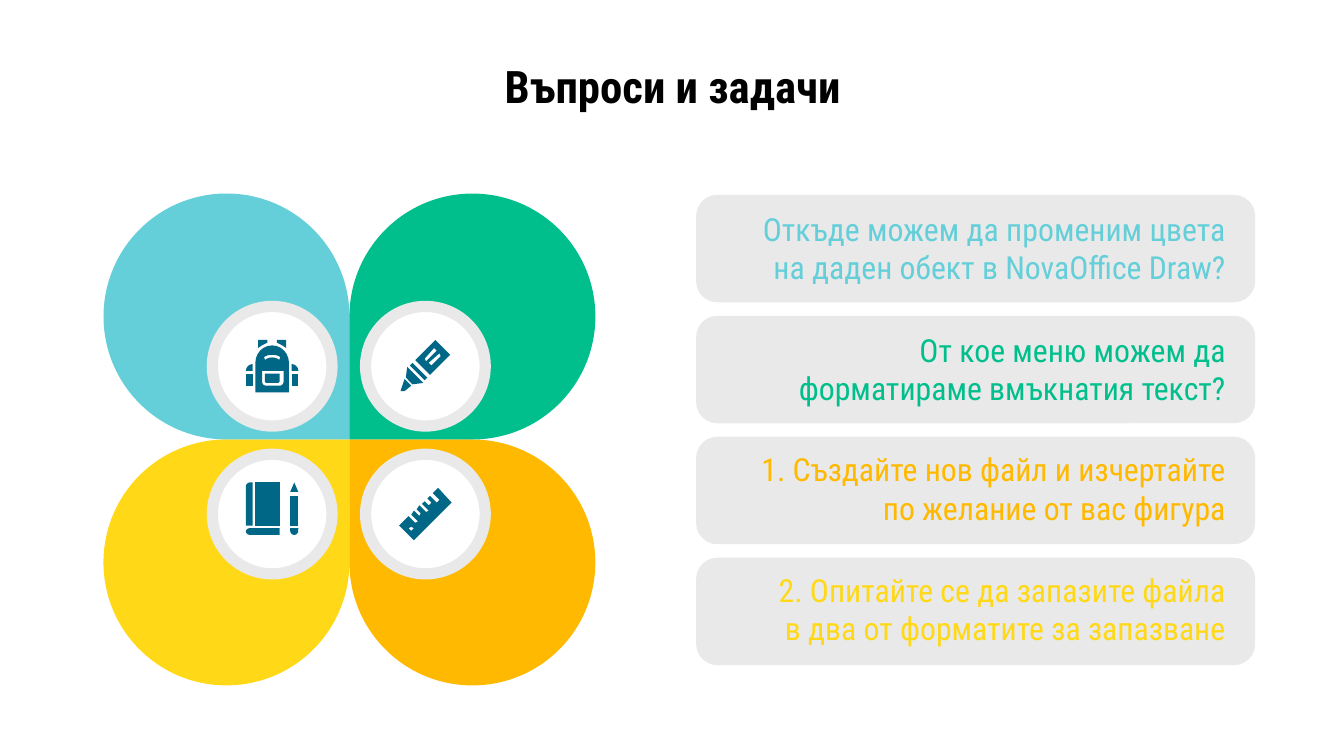
from dataclasses import dataclass
from math import cos, radians, sin

from pptx import Presentation
from pptx.dml.color import RGBColor
from pptx.enum.shapes import MSO_SHAPE as Preset
from pptx.enum.text import PP_ALIGN as Align
from pptx.util import Inches, Pt

Point = tuple[float, float]
Contour = list[Point]
Part = list[Contour]  # first contour is the outline, the rest are holes


@dataclass(frozen=True)
class Theme:
    font: str = "Roboto Condensed"
    title_size: int = 24
    body_size: int = 17
    ring_width: int = 6
    black: str = "000000"
    white: str = "FFFFFF"
    grey: str = "E9E9E9"
    icon: str = "016786"
    aqua: str = "64CFD9"
    green: str = "01BF8D"
    orange: str = "FFB900"
    yellow: str = "FFD917"


@dataclass(frozen=True)
class Question:
    text: str
    color: str
    top: float
    width: float


@dataclass(frozen=True)
class Petal:
    column: int
    row: int
    rotation: int
    color: str


THEME = Theme()

QUESTIONS = [
    Question("Откъде можем да променим цвета на даден обект в NovaOffice Draw?", THEME.aqua, 1.46, 3.81),
    Question("От кое меню можем да форматираме вмъкнатия текст?", THEME.green, 2.36, 3.81),
    Question("1. Създайте нов файл и изчертайте по желание от вас фигура", THEME.orange, 3.25, 3.73),
    Question("2. Опитайте се да запазите файла в два от форматите за запазване", THEME.yellow, 4.15, 3.66),
]
CARD_LEFT, CARD_TOP, CARD_WIDTH, CARD_HEIGHT, CARD_PITCH = 5.18, 1.45, 4.16, 0.8, 0.9
TEXT_RIGHT = 9.22

PETALS = [
    Petal(0, 1, 0, THEME.yellow),
    Petal(0, 0, 90, THEME.aqua),
    Petal(1, 1, 270, THEME.orange),
    Petal(1, 0, 180, THEME.green),
]
FLOWER_LEFT, FLOWER_TOP, PETAL_SIZE = 0.77, 1.44, 1.83
BADGE_LEFT, BADGE_TOP, BADGE_SIZE = 1.58, 2.28, 0.89
BADGE_PITCH_X, BADGE_PITCH_Y = 1.14, 1.1


# Outline helpers
def rect(left: float, top: float, right: float, bottom: float) -> Contour:
    return [(left, top), (right, top), (right, bottom), (left, bottom)]


def arc(cx: float, cy: float, rx: float, ry: float, start: int, end: int) -> Contour:
    steps = 12
    angles = [radians(start + (end - start) * i / steps) for i in range(steps + 1)]
    return [(cx + rx * cos(a), cy + ry * sin(a)) for a in angles]


def mirrored(contour: Contour, axis: float) -> Contour:
    return [(2 * axis - x, y) for x, y in contour]


# Icons
def backpack() -> list[Part]:
    axis = 2.025
    body = arc(axis, 2.7, 0.125, 0.13, 180, 360) + [(2.15, 2.92), (1.9, 2.92)]
    handle = arc(axis, 2.67, 0.065, 0.03, 200, 340) + arc(axis, 2.69, 0.055, 0.03, 340, 200)
    pocket_rim = ([(1.95, 2.76), (2.11, 2.76)]
                  + arc(2.08, 2.84, 0.03, 0.03, 0, 90) + arc(1.98, 2.84, 0.03, 0.03, 90, 180))
    pocket = [(1.97, 2.78), (2.08, 2.78), (2.08, 2.84), (2.07, 2.85), (1.98, 2.85), (1.97, 2.84)]
    left_side = [
        rect(1.83, 2.78, 1.88, 2.87),
        arc(1.88, 2.76, 0.05, 0.05, 180, 270) + [(1.88, 2.76)],
        [(1.92, 2.53), (1.92, 2.59), (1.95, 2.57), (1.99, 2.55), (1.99, 2.53)],
    ]
    sides = left_side + [mirrored(contour, axis) for contour in left_side]
    return [[body, handle, pocket_rim], [pocket]] + [[contour] for contour in sides]


def highlighter() -> list[Part]:
    barrel = [(3.24, 2.53), (3.09, 2.68), (3.2, 2.79), (3.35, 2.64)]
    stripes = [
        [(3.23, 2.59), (3.25, 2.61), (3.17, 2.69), (3.16, 2.67)],
        [(3.27, 2.63), (3.28, 2.65), (3.21, 2.72), (3.19, 2.7)],
    ]
    tip = [(3.01, 2.82), (2.98, 2.91), (3.01, 2.91), (3.06, 2.87)]
    neck = [(3.03, 2.73), (3.02, 2.81), (3.07, 2.86), (3.15, 2.85)]
    collar = [(3.07, 2.7), (3.05, 2.72), (3.16, 2.83), (3.18, 2.81)]
    return [[barrel, *stripes], [tip], [neck], [collar]]


def book_and_pencil() -> list[Part]:
    book = [
        arc(1.86, 3.955, 0.03, 0.025, 270, 90) + [(2.08, 3.98), (2.08, 3.93)],
        arc(1.86, 3.62, 0.03, 0.03, 180, 270) + [(1.88, 3.59), (1.88, 3.91), (1.83, 3.91)],
        rect(1.9, 3.59, 2.08, 3.91),
    ]
    pencil = [
        [(2.19, 3.59), (2.16, 3.66), (2.22, 3.66)],
        rect(2.16, 3.69, 2.22, 3.91),
        [(2.22, 3.93)] + arc(2.19, 3.95, 0.03, 0.03, 0, 180) + [(2.16, 3.93)],
    ]
    return [[contour] for contour in book + pencil]


def ruler() -> list[Part]:
    edge = [
        (3.26, 3.63), (3.22, 3.67), (3.27, 3.72), (3.25, 3.74), (3.2, 3.69), (3.18, 3.71),
        (3.21, 3.74), (3.19, 3.76), (3.16, 3.73), (3.14, 3.75), (3.19, 3.8), (3.17, 3.81),
        (3.12, 3.76), (3.1, 3.79), (3.13, 3.82), (3.12, 3.84), (3.08, 3.8), (3.06, 3.83),
        (3.11, 3.88), (3.09, 3.89), (3.04, 3.84), (2.97, 3.91), (3.08, 4.02), (3.36, 3.74),
    ]
    hole = [(3.06, 3.92), (3.08, 3.93), (3.06, 3.95), (3.04, 3.93)]
    return [[edge, hole]]


# Drawing functions
def paint(shape, fill: str, line: str | None = None) -> None:
    shape.shadow.inherit = False
    shape.fill.solid()
    shape.fill.fore_color.rgb = RGBColor.from_string(fill)
    if line is None:
        shape.line.fill.background()
    else:
        shape.line.color.rgb = RGBColor.from_string(line)
        shape.line.width = Pt(THEME.ring_width)


def add_preset(slide, preset, left: float, top: float, width: float, height: float,
               fill: str, line: str | None = None):
    shape = slide.shapes.add_shape(preset, Inches(left), Inches(top), Inches(width), Inches(height))
    paint(shape, fill, line)
    return shape


def add_text(slide, text: str, left: float, top: float, width: float, height: float,
             color: str, size: int, align, bold: bool = False) -> None:
    box = slide.shapes.add_textbox(Inches(left), Inches(top), Inches(width), Inches(height))
    frame = box.text_frame
    margins = dict.fromkeys(("margin_left", "margin_top", "margin_right", "margin_bottom"), Inches(0.1))
    for name, value in {"word_wrap": True, **margins}.items():
        setattr(frame, name, value)
    paragraph = frame.paragraphs[0]
    paragraph.alignment = align
    run = paragraph.add_run()
    run.text = text
    for name, value in {"name": THEME.font, "size": Pt(size), "bold": bold}.items():
        setattr(run.font, name, value)
    run.font.color.rgb = RGBColor.from_string(color)


def add_icon(slide, parts: list[Part]) -> None:
    for part in parts:
        outline, *holes = [[(Inches(x), Inches(y)) for x, y in contour] for contour in part]
        builder = slide.shapes.build_freeform(*outline[0])
        builder.add_line_segments(outline[1:], close=True)
        for hole in holes:
            builder.move_to(*hole[0])
            builder.add_line_segments(hole[1:], close=True)
        paint(builder.convert_to_shape(), THEME.icon)


def main() -> None:
    deck = Presentation()
    deck.slide_width, deck.slide_height = Inches(10), Inches(10 * 9 / 16)
    slide = deck.slides.add_slide(deck.slide_layouts[6])

    # Title
    add_text(slide, "Въпроси и задачи", 0.2, 0.34, 9.61, 0.63, THEME.black, THEME.title_size,
             Align.CENTER, bold=True)

    # Question cards
    for index, question in enumerate(QUESTIONS):
        card = add_preset(slide, Preset.ROUNDED_RECTANGLE, CARD_LEFT, CARD_TOP + index * CARD_PITCH,
                          CARD_WIDTH, CARD_HEIGHT, THEME.grey)
        card.adjustments[0] = 0.197
        add_text(slide, question.text, TEXT_RIGHT - question.width, question.top, question.width,
                 0.47, question.color, THEME.body_size, Align.RIGHT)

    # Flower with icon badges
    for petal in PETALS:
        leaf = add_preset(slide, Preset.TEAR, FLOWER_LEFT + petal.column * PETAL_SIZE,
                          FLOWER_TOP + petal.row * PETAL_SIZE, PETAL_SIZE, PETAL_SIZE, petal.color)
        leaf.rotation = petal.rotation
    for petal in PETALS:
        add_preset(slide, Preset.OVAL, BADGE_LEFT + petal.column * BADGE_PITCH_X,
                   BADGE_TOP + petal.row * BADGE_PITCH_Y, BADGE_SIZE, BADGE_SIZE,
                   THEME.white, THEME.grey)
    for icon in (highlighter, book_and_pencil, ruler, backpack):
        add_icon(slide, icon())

    deck.save("out.pptx")


if __name__ == "__main__":
    main()
